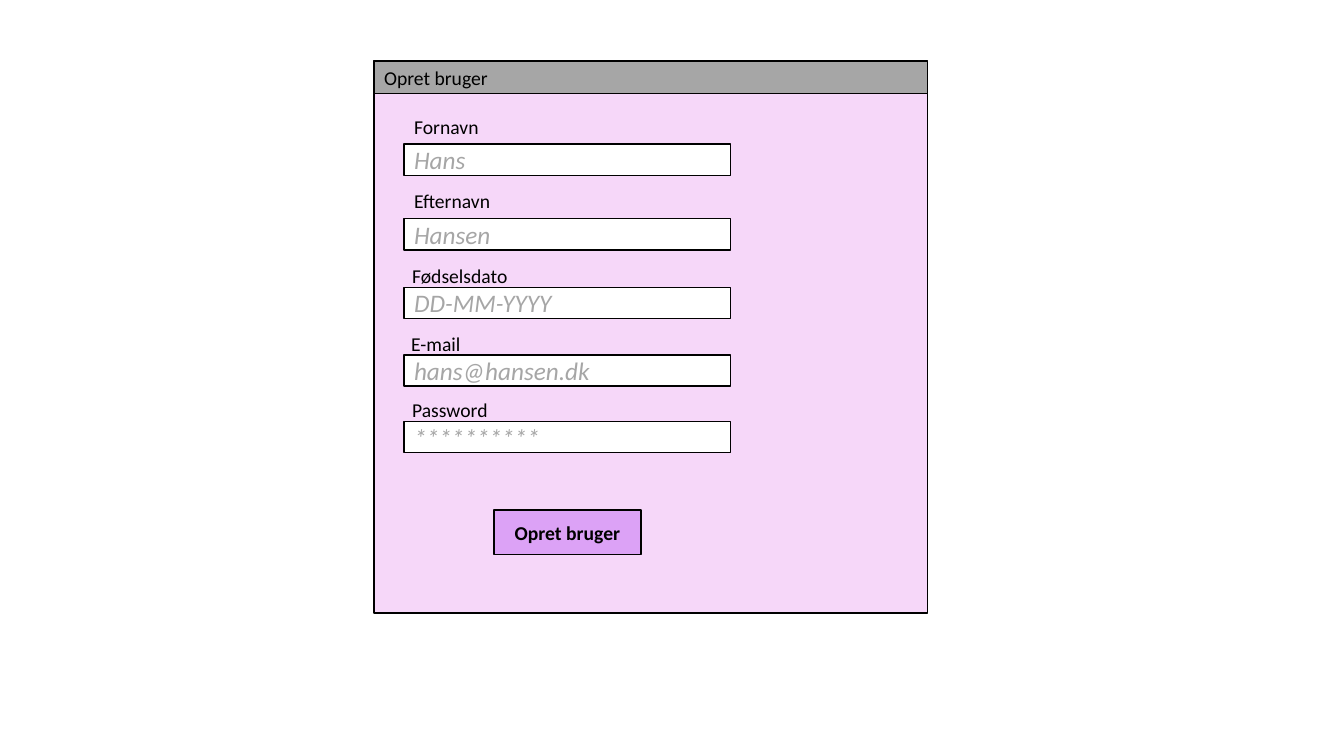
from dataclasses import dataclass

from pptx import Presentation
from pptx.dml.color import RGBColor
from pptx.enum import shapes, text
from pptx.util import Pt

# Content: label, placeholder text, label box (left, top, width), field top
TITLE = "Opret bruger"
BUTTON = "Opret bruger"
FIELDS = [
    ("Fornavn", "Hans", (288.72, 78.48, 61.2), 102.96),
    ("Efternavn", "Hansen", (288.72, 131.76, 69.84), 156.24),
    ("Fødselsdato", "DD-MM-YYYY", (287.28, 185.04, 83.52), 205.2),
    ("E-mail", "hans@hansen.dk\t", (286.56, 233.28, 50.4), 253.44),
    ("Password", "**********", (287.28, 280.8, 69.12), 300.96),
]


@dataclass(frozen=True)
class Theme:
    font: str = "Calibri"
    label_size: int = 14
    field_size: int = 18
    line_width: int = 1
    ink: str = "000000"
    hint: str = "A6A6A6"
    bar: str = "A6A6A6"
    panel: str = "F6D7F9"
    field: str = "FFFFFF"
    button: str = "DCA2F6"


THEME = Theme()

# Layout in points
WINDOW_X, WINDOW_Y, WINDOW_W, WINDOW_H = 267.12, 43.2, 395.28, 394.56
BAR_Y, BAR_H = 43.92, 23.04
FIELD_X, FIELD_W, FIELD_H = 288.72, 233.28, 22.32
LABEL_H = 24.48
BUTTON_BOX = (352.8, 364.32, 105.12, 31.68)


def write(sp, words, size, color, align=text.PP_ALIGN.LEFT,
          anchor=text.MSO_ANCHOR.MIDDLE, bold=False, italic=False):
    tf = sp.text_frame
    tf.vertical_anchor = anchor
    p = tf.paragraphs[0]
    p.text = words
    p.alignment = align
    f = p.font
    f.name, f.size, f.bold, f.italic = THEME.font, Pt(size), bold, italic
    f.color.rgb = RGBColor.from_string(color)


def add_box(s, box, fill):
    sp = s.shapes.add_shape(shapes.MSO_SHAPE.RECTANGLE, *map(Pt, box))
    sp.shadow.inherit = False
    sp.fill.solid()
    sp.fill.fore_color.rgb = RGBColor.from_string(fill)
    sp.line.color.rgb = RGBColor.from_string(THEME.ink)
    sp.line.width = Pt(THEME.line_width)
    return sp


def add_label(s, words, left, top, width):
    sp = s.shapes.add_textbox(Pt(left), Pt(top), Pt(width), Pt(LABEL_H))
    sp.text_frame.word_wrap = False
    sp.text_frame.auto_size = text.MSO_AUTO_SIZE.SHAPE_TO_FIT_TEXT
    write(sp, words, THEME.label_size, THEME.ink, anchor=text.MSO_ANCHOR.TOP)


def main():
    prs = Presentation()
    prs.slide_width, prs.slide_height = Pt(960), Pt(540)
    s = prs.slides.add_slide(prs.slide_layouts[5])

    # Window and title bar
    add_box(s, (WINDOW_X, WINDOW_Y, WINDOW_W, WINDOW_H), THEME.panel)
    add_box(s, (WINDOW_X, BAR_Y, WINDOW_W, BAR_H), THEME.bar)

    # Title, brought in front of the bar
    title = s.shapes.title
    title.left, title.top = Pt(WINDOW_X), Pt(WINDOW_Y)
    title.width, title.height = Pt(95.04), Pt(LABEL_H)
    title.text_frame.word_wrap = True
    title.text_frame.auto_size = text.MSO_AUTO_SIZE.SHAPE_TO_FIT_TEXT
    write(title, TITLE, THEME.label_size, THEME.ink, anchor=text.MSO_ANCHOR.TOP)
    title.element.getparent().append(title.element)

    # Form fields with their labels
    for label, hint, label_box, field_top in FIELDS:
        sp = add_box(s, (FIELD_X, field_top, FIELD_W, FIELD_H), THEME.field)
        write(sp, hint, THEME.field_size, THEME.hint, italic=True)
        add_label(s, label, *label_box)

    # Submit button
    sp = add_box(s, BUTTON_BOX, THEME.button)
    write(sp, BUTTON, THEME.label_size, THEME.ink,
          align=text.PP_ALIGN.CENTER, bold=True)

    prs.save("out.pptx")


if __name__ == "__main__":
    main()
